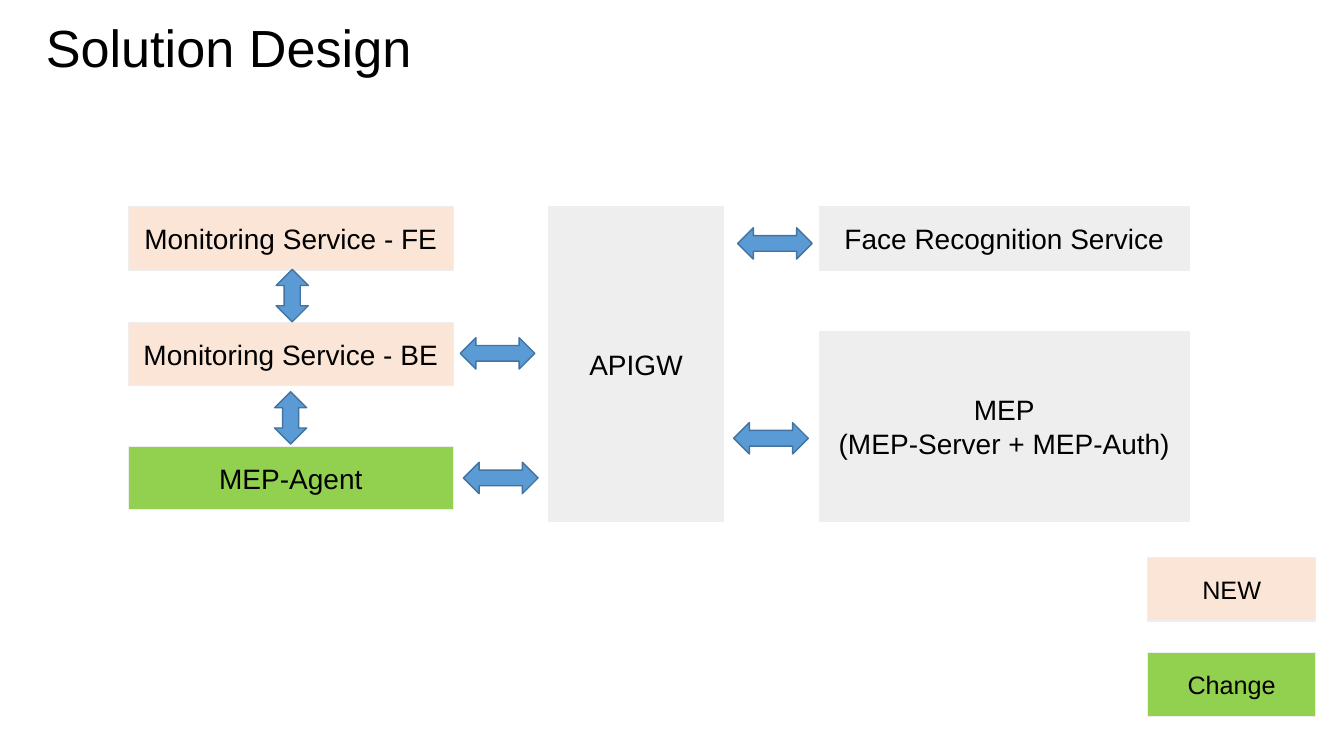
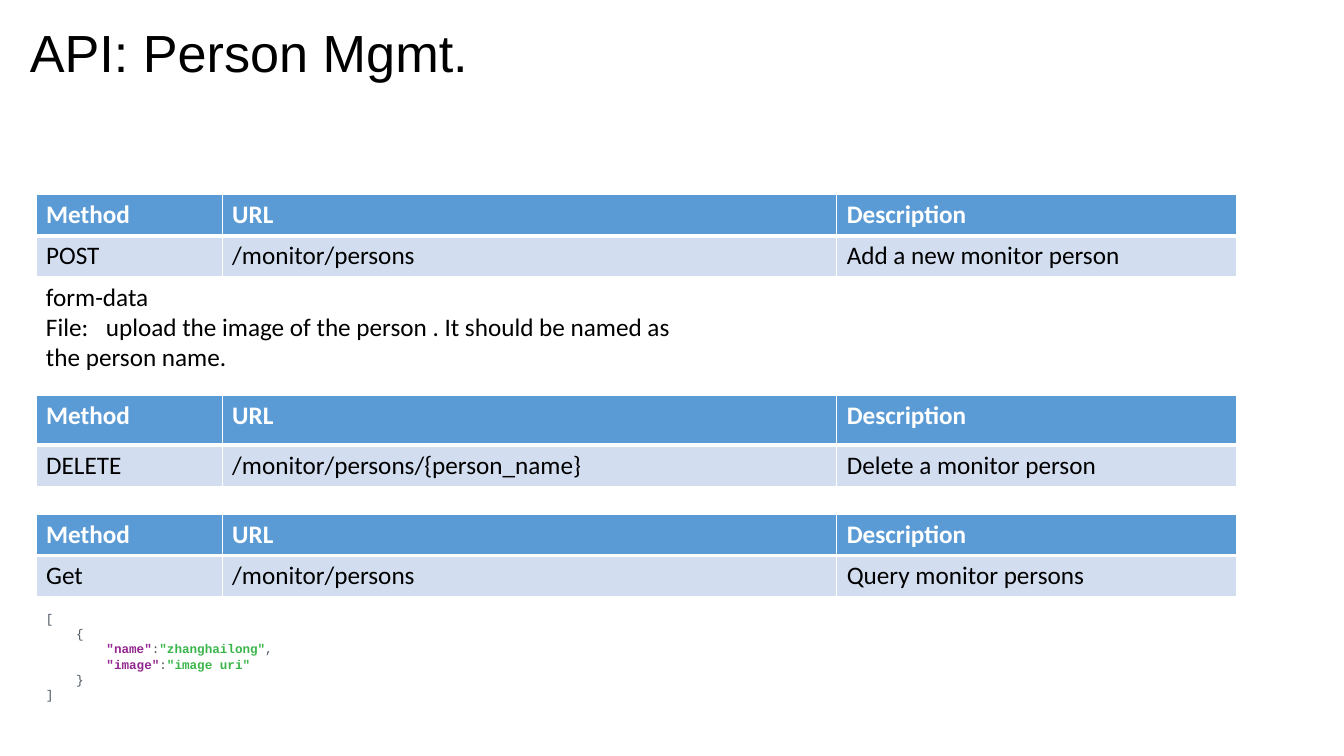
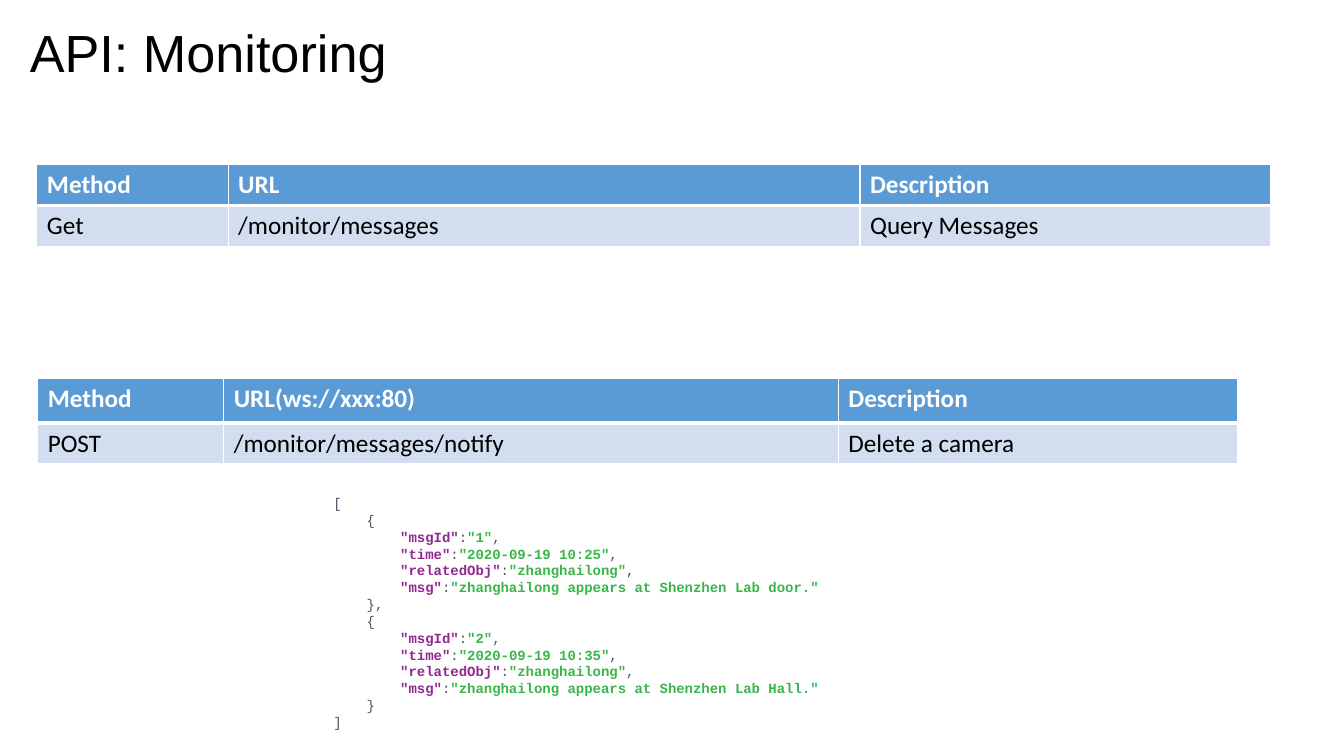
from dataclasses import dataclass

from lxml import etree
from pptx import Presentation
from pptx.dml.color import RGBColor
from pptx.enum.shapes import MSO_SHAPE
from pptx.enum.text import MSO_ANCHOR, MSO_AUTO_SIZE, PP_ALIGN
from pptx.oxml.ns import qn
from pptx.slide import Slide
from pptx.table import _Cell
from pptx.text.text import Font, TextFrame
from pptx.util import Cm, Pt

RECTANGLE = MSO_SHAPE.RECTANGLE
SIDEWAYS = MSO_SHAPE.LEFT_RIGHT_ARROW
UPRIGHT = MSO_SHAPE.UP_DOWN_ARROW
CENTER, LEFT = PP_ALIGN.CENTER, PP_ALIGN.LEFT
TOP, MIDDLE = MSO_ANCHOR.TOP, MSO_ANCHOR.MIDDLE
NO_AUTOFIT = MSO_AUTO_SIZE.NONE
TITLE_ONLY = 5


@dataclass(frozen=True)
class Theme:
    black: RGBColor = RGBColor(0x00, 0x00, 0x00)
    white: RGBColor = RGBColor(0xFF, 0xFF, 0xFF)
    existing: RGBColor = RGBColor(0xEE, 0xEE, 0xEE)
    new: RGBColor = RGBColor(0xFB, 0xE5, 0xD6)
    changed: RGBColor = RGBColor(0x92, 0xD0, 0x50)
    accent: RGBColor = RGBColor(0x5B, 0x9B, 0xD5)
    accent_line: RGBColor = RGBColor(0x43, 0x73, 0x9E)
    row: RGBColor = RGBColor(0xD2, 0xDE, 0xEF)
    code: RGBColor = RGBColor(0x4A, 0x55, 0x60)
    code_key: RGBColor = RGBColor(0x92, 0x27, 0x8F)
    code_value: RGBColor = RGBColor(0x3A, 0xB5, 0x4A)
    heading_font: str = "Arial"
    body_font: str = "Calibri"
    code_font: str = "Courier New"
    title_size: float = 37.3
    box_size: float = 20
    body_size: float = 18


THEME = Theme()


@dataclass(frozen=True)
class Box:
    """A labelled block; lengths in centimetres."""
    label: str
    left: float
    top: float
    width: float
    height: float
    fill: RGBColor
    size: float = THEME.box_size


@dataclass(frozen=True)
class Arrow:
    """A two-headed block arrow; lengths in centimetres."""
    left: float
    top: float
    upright: bool = False


@dataclass(frozen=True)
class Endpoint:
    """One API call shown as a two-row table; lengths in centimetres."""
    method: str
    url: str
    description: str
    top: float
    left: float = 0.91
    width: float = 30.25
    heights: tuple[float, float] = (1.03, 1.03)
    url_heading: str = "URL"


LEFT_COLUMN, RIGHT_COLUMN, LEGEND = 3.23, 20.65, 28.93
FIRST_ROW, BOX_HEIGHT = 5.21, 1.6
LEFT_WIDTH, RIGHT_WIDTH, LEGEND_WIDTH = 8.2, 9.32, 4.22

BOXES = (
    Box("Monitoring Service - FE", LEFT_COLUMN, FIRST_ROW, LEFT_WIDTH, BOX_HEIGHT, THEME.new),
    Box("Monitoring Service - BE", LEFT_COLUMN, 8.12, LEFT_WIDTH, BOX_HEIGHT, THEME.new),
    Box("MEP-Agent", LEFT_COLUMN, 11.25, LEFT_WIDTH, BOX_HEIGHT, THEME.changed),
    Box("APIGW", 13.82, FIRST_ROW, 4.42, 7.92, THEME.existing),
    Box("Face Recognition Service", RIGHT_COLUMN, FIRST_ROW, RIGHT_WIDTH, BOX_HEIGHT,
        THEME.existing),
    Box("MEP\n(MEP-Server + MEP-Auth)", RIGHT_COLUMN, 8.36, RIGHT_WIDTH, 4.77, THEME.existing),
    Box("NEW", LEGEND, 14.05, LEGEND_WIDTH, BOX_HEIGHT, THEME.new, THEME.body_size),
    Box("Change", LEGEND, 16.45, LEGEND_WIDTH, BOX_HEIGHT, THEME.changed, THEME.body_size),
)
ARROWS = (
    Arrow(18.59, 5.74),
    Arrow(18.49, 10.65),
    Arrow(11.6, 8.51),
    Arrow(11.68, 11.65),
    Arrow(6.96, 6.79, upright=True),
    Arrow(6.92, 9.87, upright=True),
)

PERSON_ENDPOINTS = (
    Endpoint("POST", "/monitor/persons", "Add a new monitor person", 4.91),
    Endpoint("DELETE", "/monitor/persons/{person_name}", "Delete a monitor person", 9.97,
             heights=(1.25, 0.86)),
    Endpoint("Get", "/monitor/persons", "Query monitor persons", 12.97),
)
MESSAGE_ENDPOINTS = (
    Endpoint("Get", "/monitor/messages", "Query Messages", 4.15, left=0.93, width=31.1),
    Endpoint("POST", "/monitor/messages/notify", "Delete a camera", 9.53, left=0.95,
             heights=(1.13, 0.86), url_heading="URL(ws://xxx:80)"),
)
COLUMN_SHARES = (0.155, 0.512, 0.333)

UPLOAD_NOTE = """form-data
File:\tupload the image of the person . It should be named as the person name."""

PERSONS_JSON = """[
    {
        "name":"zhanghailong",
        "image":"image uri"
    }
]"""

MESSAGES_JSON = """[
    {
        "msgId":"1",
        "time":"2020-09-19 10:25",
        "relatedObj":"zhanghailong",
        "msg":"zhanghailong appears at Shenzhen Lab door."
    },
    {
        "msgId":"2",
        "time":"2020-09-19 10:35",
        "relatedObj":"zhanghailong",
        "msg":"zhanghailong appears at Shenzhen Lab Hall."
    }
]"""


def style(font: Font, name: str, size: float, color: RGBColor, bold: bool = False) -> None:
    font.name, font.size, font.bold = name, Pt(size), bold
    font.color.rgb = color


def style_text(frame: TextFrame, name: str, size: float, color: RGBColor,
               align: PP_ALIGN = LEFT, bold: bool = False) -> None:
    for paragraph in frame.paragraphs:
        paragraph.alignment = align
        for run in paragraph.runs:
            style(run.font, name, size, color, bold)


def add_titled_slide(prs: Presentation, heading: str, left: float, top: float) -> Slide:
    slide = prs.slides.add_slide(prs.slide_layouts[TITLE_ONLY])
    title = slide.shapes.title
    title.left, title.top, title.width, title.height = Cm(left), Cm(top), Cm(11.76), Cm(1.85)
    frame = title.text_frame
    frame.text = heading
    frame.vertical_anchor, frame.auto_size = TOP, NO_AUTOFIT
    style_text(frame, THEME.heading_font, THEME.title_size, THEME.black)
    return slide


def add_box(slide: Slide, box: Box) -> None:
    block = slide.shapes.add_shape(RECTANGLE, Cm(box.left), Cm(box.top),
                                   Cm(box.width), Cm(box.height))
    block.shadow.inherit = False
    block.fill.solid()
    block.fill.fore_color.rgb = box.fill
    block.line.color.rgb, block.line.width = THEME.existing, Pt(0.75)
    frame = block.text_frame
    frame.text, frame.word_wrap, frame.vertical_anchor = box.label, True, MIDDLE
    style_text(frame, THEME.heading_font, box.size, THEME.black, CENTER)


def add_arrow(slide: Slide, arrow: Arrow) -> None:
    kind, width, height = (UPRIGHT, 0.81, 1.32) if arrow.upright else (SIDEWAYS, 1.88, 0.79)
    link = slide.shapes.add_shape(kind, Cm(arrow.left), Cm(arrow.top), Cm(width), Cm(height))
    link.shadow.inherit = False
    link.fill.solid()
    link.fill.fore_color.rgb = THEME.accent
    link.line.color.rgb, link.line.width = THEME.accent_line, Pt(1)


def add_cell_border(cell: _Cell, side: str, points: float) -> None:
    """Draw one white edge; edges go L, R, T, B and before the cell fill."""
    edge = etree.SubElement(cell._tc.get_or_add_tcPr(), qn(f"a:ln{side}"), w=str(Pt(points)))
    fill = etree.SubElement(edge, qn("a:solidFill"))
    etree.SubElement(fill, qn("a:srgbClr"), val=str(THEME.white))


def fill_cell(cell: _Cell, text: str, is_header: bool) -> None:
    for side in "LRTB" if is_header else "LRB":
        add_cell_border(cell, side, 3 if is_header and side == "B" else 1)
    cell.fill.solid()
    cell.fill.fore_color.rgb = THEME.accent if is_header else THEME.row
    cell.text = text
    style_text(cell.text_frame, THEME.body_font, THEME.body_size,
               THEME.white if is_header else THEME.black, bold=is_header)


def add_endpoint(slide: Slide, endpoint: Endpoint) -> None:
    rows = (("Method", endpoint.url_heading, "Description"),
            (endpoint.method, endpoint.url, endpoint.description))
    table = slide.shapes.add_table(
        len(rows), len(COLUMN_SHARES), Cm(endpoint.left), Cm(endpoint.top),
        Cm(endpoint.width), Cm(sum(endpoint.heights))).table
    table.horz_banding = False
    for column, share in zip(table.columns, COLUMN_SHARES):
        column.width = Cm(endpoint.width * share)
    for r, (texts, height) in enumerate(zip(rows, endpoint.heights)):
        table.rows[r].height = Cm(height)
        for c, text in enumerate(texts):
            fill_cell(table.cell(r, c), text, is_header=r == 0)


def add_text_frame(slide: Slide, left: float, top: float, width: float,
                   height: float) -> TextFrame:
    frame = slide.shapes.add_textbox(Cm(left), Cm(top), Cm(width), Cm(height)).text_frame
    frame.word_wrap = True
    return frame


def add_upload_note(slide: Slide) -> None:
    frame = add_text_frame(slide, 0.91, 6.96, 16.76, 2.57)
    frame.text = UPLOAD_NOTE
    tabs = etree.SubElement(frame.paragraphs[-1]._p.get_or_add_pPr(), qn("a:tabLst"))
    etree.SubElement(tabs, qn("a:tab"), pos=str(Cm(1.51)), algn="l")
    style_text(frame, THEME.body_font, THEME.body_size, THEME.black)


def color_code_line(line: str) -> list[tuple[str, RGBColor]]:
    """Split a JSON line into coloured pieces."""
    key, colon, rest = line.partition(":")
    if not colon:
        return [(line, THEME.code)]
    name = key.lstrip()
    value = rest.removesuffix(",")
    pieces = [(key.removesuffix(name), THEME.code), (name, THEME.code_key),
              (colon, THEME.code), (value, THEME.code_value)]
    return pieces + ([(",", THEME.code)] if value != rest else [])


def add_code(slide: Slide, code: str, size: float, left: float, top: float,
             width: float, height: float) -> None:
    frame = add_text_frame(slide, left, top, width, height)
    frame.text = "\n" * code.count("\n")
    for paragraph, line in zip(frame.paragraphs, code.splitlines()):
        for text, color in color_code_line(line):
            run = paragraph.add_run()
            run.text = text
            style(run.font, THEME.code_font, size, color, bold=color != THEME.code)


def build_solution_design(prs: Presentation) -> None:
    slide = add_titled_slide(prs, "Solution Design", 0.9, 0.25)
    for box in BOXES:
        add_box(slide, box)
    for arrow in ARROWS:
        add_arrow(slide, arrow)


def add_api_slide(prs: Presentation, heading: str, endpoints: tuple[Endpoint, ...]) -> Slide:
    slide = add_titled_slide(prs, heading, 0.5, 0.38)
    for endpoint in endpoints:
        add_endpoint(slide, endpoint)
    return slide


def main() -> None:
    prs = Presentation()
    prs.slide_width, prs.slide_height = Cm(33.87), Cm(19.05)
    build_solution_design(prs)
    persons = add_api_slide(prs, "API: Person Mgmt.", PERSON_ENDPOINTS)
    add_upload_note(persons)
    add_code(persons, PERSONS_JSON, 9, 0.91, 15.27, 16.94, 2.57)
    monitoring = add_api_slide(prs, "API: Monitoring", MESSAGE_ENDPOINTS)
    add_code(monitoring, MESSAGES_JSON, 10, 8.15, 12.34, 18.97, 6.25)
    prs.save("out.pptx")


if __name__ == "__main__":
    main()
